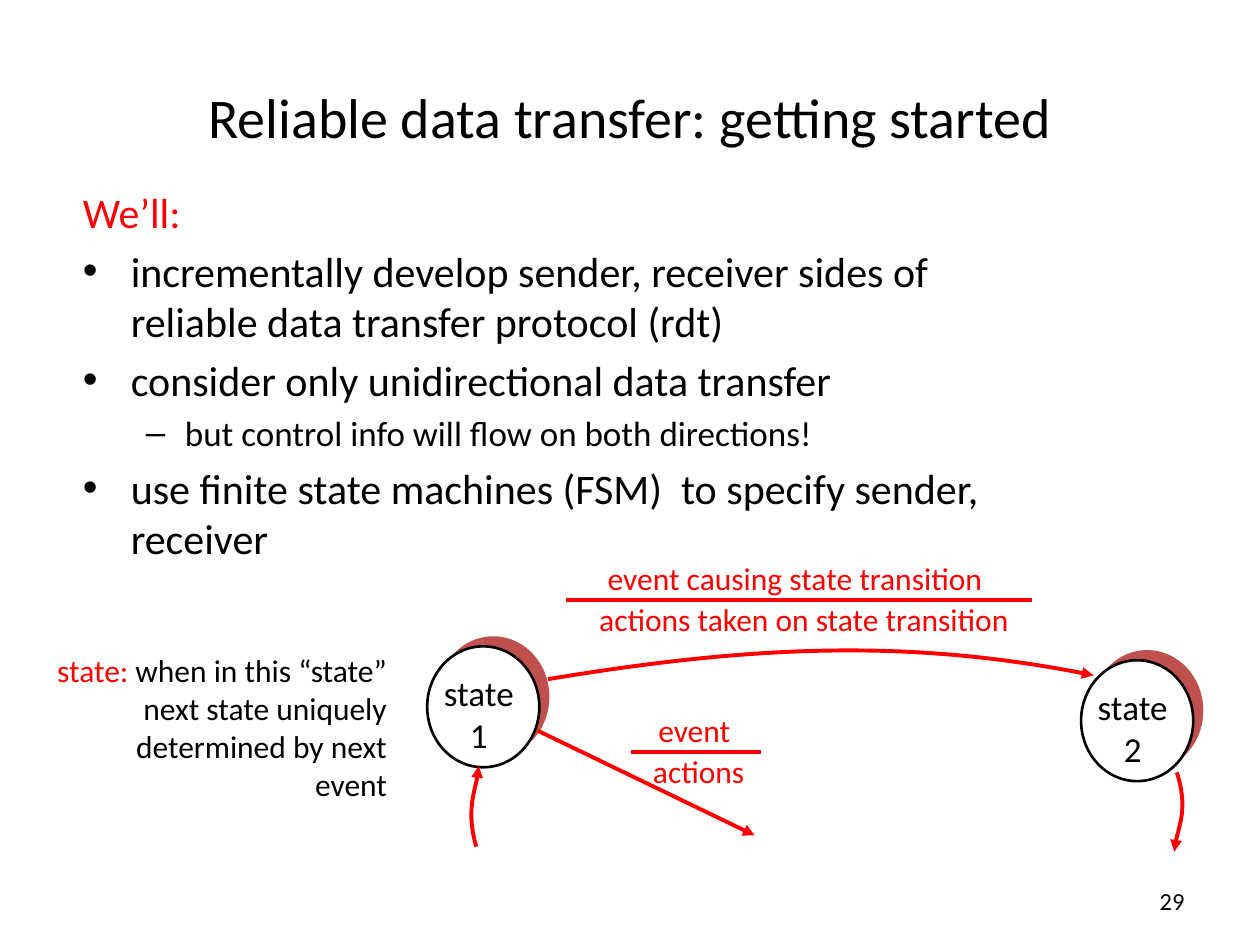
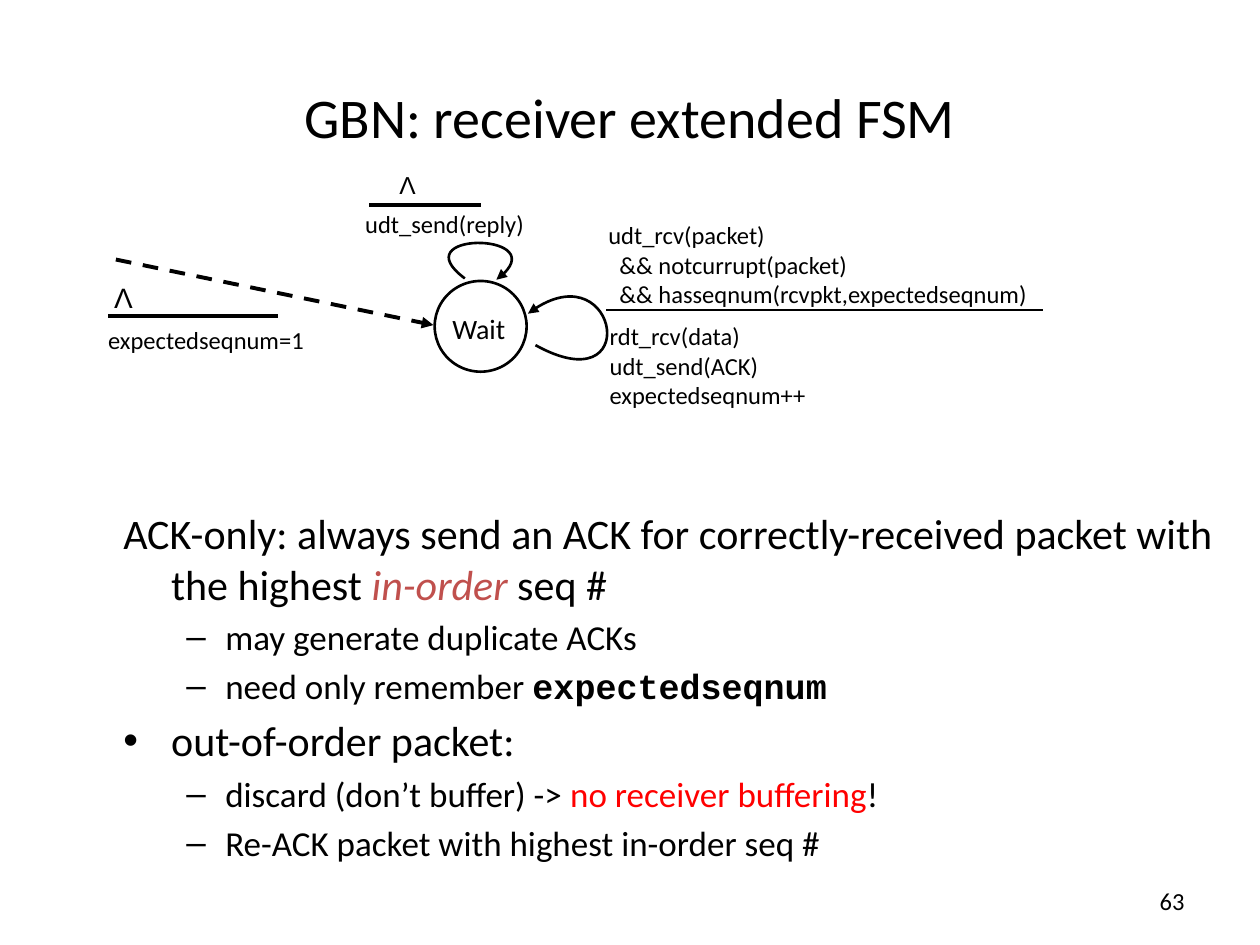
import lxml.etree
import pptx
import pptx.dml.color
import pptx.enum.dml
import pptx.enum.shapes
import pptx.enum.text
import pptx.oxml.ns
import pptx.util

PX = 9144
BLACK = pptx.dml.color.RGBColor(0x00, 0x00, 0x00)
WHITE = pptx.dml.color.RGBColor(0xFF, 0xFF, 0xFF)
RED = pptx.dml.color.RGBColor(0xFF, 0x00, 0x00)
ROSE = pptx.dml.color.RGBColor(0xC0, 0x50, 0x4D)

LEFT = pptx.enum.text.PP_ALIGN.LEFT
CENTER = pptx.enum.text.PP_ALIGN.CENTER
RIGHT = pptx.enum.text.PP_ALIGN.RIGHT
TOP = pptx.enum.text.MSO_ANCHOR.TOP
MIDDLE = pptx.enum.text.MSO_ANCHOR.MIDDLE

TITLE_SIZE, BODY_SIZE, SUB_SIZE, LABEL_SIZE, CODE_SIZE = 32, 24, 20, 18, 14
THICK, THIN = 2.25, 1.5
HANGING, BULLET, DASH = "", "•", "–"
INDENTS = {HANGING: (38, -38), BULLET: (38, -38), DASH: (81, -31)}
ALERT = {"color": RED}
STRESS = {"color": ROSE, "italic": True}
CODE = {"font": "Courier New", "bold": True}
qn = pptx.oxml.ns.qn


def write(page, text, area, size=CODE_SIZE, color=BLACK, font="Calibri",
          align=LEFT, anchor=TOP, wrap=True):
    box = page.shapes.add_textbox(*[PX * length for length in area])
    frame = box.text_frame
    frame.word_wrap = wrap
    frame.vertical_anchor = anchor
    if isinstance(text, str):
        text = [(None, line) for line in text.split("\n")]
    for index, (mark, *pieces) in enumerate(text):
        para = frame.add_paragraph() if index else frame.paragraphs[0]
        para.alignment = align
        para_size = SUB_SIZE if mark == DASH else size
        if mark is not None:
            margin, indent = INDENTS[mark]
            properties = para._p.get_or_add_pPr()
            properties.set("marL", str(margin * PX))
            properties.set("indent", str(indent * PX))
            if mark:
                lxml.etree.SubElement(properties, qn("a:buFont"), typeface="Arial")
                lxml.etree.SubElement(properties, qn("a:buChar"), char=mark)
            if index:
                para.space_before = pptx.util.Pt(para_size * 0.2)
        for piece in pieces:
            words, look = (piece, {}) if isinstance(piece, str) else piece
            span = para.add_run()
            span.text = words
            span.font.size = pptx.util.Pt(para_size)
            span.font.name = look.get("font", font)
            span.font.color.rgb = look.get("color", color)
            span.font.bold = look.get("bold", False)
            span.font.italic = look.get("italic", False)


def trace(page, points, color=BLACK, weight=THICK, arrow=False, dashed=False):
    if len(points) == 2:
        ends = [PX * length for point in points for length in point]
        stroke = page.shapes.add_connector(pptx.enum.shapes.MSO_CONNECTOR.STRAIGHT, *ends)
    else:
        builder = page.shapes.build_freeform(*points[0], scale=PX)
        builder.add_line_segments(points[1:], close=False)
        stroke = builder.convert_to_shape()
        stroke.fill.background()
        outline = stroke._element.find(".//" + qn("a:path"))
        curve = lxml.etree.SubElement(outline, qn("a:cubicBezTo"))
        for segment in outline.findall(qn("a:lnTo")):
            curve.append(segment[0])
            outline.remove(segment)
    stroke.line.color.rgb = color
    stroke.line.width = pptx.util.Pt(weight)
    if dashed:
        stroke.line.dash_style = pptx.enum.dml.MSO_LINE.DASH
    properties = stroke._element.spPr
    if arrow:
        lxml.etree.SubElement(properties.find(qn("a:ln")), qn("a:tailEnd"), type="triangle")
    lxml.etree.SubElement(properties, qn("a:effectLst"))


deck = pptx.Presentation()
deck.slide_width = 1000 * PX
deck.slide_height = 750 * PX

pages = []
for title, number in [("Reliable data transfer: getting started", "29"),
                      ("GBN: receiver extended FSM", "63")]:
    page = deck.slides.add_slide(deck.slide_layouts[6])
    write(page, number, (717, 695, 233, 40), align=RIGHT, anchor=MIDDLE)
    write(page, title, (50, 30, 900, 125), size=TITLE_SIZE, align=CENTER, anchor=MIDDLE)
    pages.append(page)
intro, receiver = pages

states = [("state\n1", 339, 513), ("state\n2", 858, 524)]
state_width, state_height, shadow_shift = 89, 96, 8
discs = [(receiver, (345, 223, 73, 72), WHITE)]
for name, left, top in states:
    shadow = (left + shadow_shift, top - shadow_shift, state_width, state_height)
    discs.append((intro, shadow, ROSE))
    discs.append((intro, (left, top, state_width, state_height), WHITE))
for page, area, fill in discs:
    disc = page.shapes.add_shape(pptx.enum.shapes.MSO_SHAPE.OVAL,
                                 *[PX * length for length in area])
    disc.shadow.inherit = False
    disc.fill.solid()
    disc.fill.fore_color.rgb = fill
    if fill == WHITE:
        disc.line.color.rgb = BLACK
        disc.line.width = pptx.util.Pt(THIN)
    else:
        disc.line.fill.background()
for name, left, top in states:
    write(intro, name, (left + 3, top + 15, 76, 77), size=SUB_SIZE, align=CENTER, wrap=False)

goals = [
    (HANGING, ("We’ll:", ALERT)),
    (BULLET, "incrementally develop sender, receiver sides of "
             "reliable data transfer protocol (rdt)"),
    (BULLET, "consider only unidirectional data transfer"),
    (DASH, "but control info will flow on both directions!"),
    (BULLET, "use finite state machines (FSM)  to specify sender, receiver"),
]
write(intro, goals, (56, 143, 794, 367), size=BODY_SIZE)

state_meaning = [(HANGING, ("state:", ALERT), " when in this “state” next state "
                  "uniquely determined by next event")]
write(intro, state_meaning, (14, 512, 303, 135), size=LABEL_SIZE, align=RIGHT)

transition_labels = [
    ("event causing state transition", (471, 439, 320, 40)),
    ("actions taken on state transition", (464, 471, 348, 40)),
    ("event", (512, 559, 78, 40)),
    ("actions", (508, 592, 93, 40)),
]
for label, area in transition_labels:
    write(intro, label, area, size=LABEL_SIZE, color=RED, align=CENTER, wrap=False)
for left, right, height in [(449, 819, 476), (501, 604, 597)]:
    trace(intro, [(left, height), (right, height)], color=RED)

state_1_to_state_2 = [(435, 539), (597, 512), (726, 507), (868, 536)]
into_state_1 = [(378, 672), (370, 644), (380, 618), (380, 608)]
out_of_state_1 = [(427, 580), (599, 663)]
out_of_state_2 = [(934, 613), (943, 641), (932, 666), (932, 676)]
for transition in [state_1_to_state_2, into_state_1, out_of_state_1, out_of_state_2]:
    trace(intro, transition, color=RED, arrow=True)

ack_rules = [
    (HANGING, "ACK-only: always send an ACK for correctly-received packet with the highest ",
     ("in-order ", STRESS), "seq #"),
    (DASH, "may generate duplicate ACKs"),
    (DASH, "need only remember ", ("expectedseqnum", CODE)),
    (BULLET, "out-of-order packet:"),
    (DASH, "discard (don’t buffer) -> ", ("no receiver buffering", ALERT), "!"),
    (DASH, "Re-ACK packet with highest in-order seq #"),
]
write(receiver, ack_rules, (88, 398, 891, 312), size=BODY_SIZE)

write(receiver, "Wait", (336, 242, 88, 26), size=16, align=CENTER)
write(receiver, "Λ", (284, 130, 79, 27), font="Arial", align=CENTER)
write(receiver, "Λ", (80, 218, 36, 37), size=16, font="Arial", align=CENTER, wrap=False)

receive_event = "\n".join(["udt_rcv(packet)",
                           "  && notcurrupt(packet)",
                           "  && hasseqnum(rcvpkt,expectedseqnum)"])
receive_actions = "\n".join(["rdt_rcv(data)", "udt_send(ACK)", "expectedseqnum++"])
for label, area in [("udt_send(reply)", (280, 161, 177, 34)),
                    ("expectedseqnum=1", (76, 253, 398, 107)),
                    (receive_event, (473, 170, 390, 62)),
                    (receive_actions, (474, 250, 472, 94))]:
    write(receiver, label, area)
for left, right, height, weight in [(293, 382, 163, THICK),
                                    (86, 221, 251, THICK),
                                    (481, 828, 246, THIN)]:
    trace(receiver, [(left, height), (right, height)], weight=weight)

start_arrow = [(92, 206), (344, 258)]
reply_loop = [(369, 221), (319, 184), (445, 184), (394, 222)]
receive_loop = [(425, 274), (510, 321), (490, 195), (419, 249)]
trace(receiver, start_arrow, arrow=True, dashed=True)
for loop in [reply_loop, receive_loop]:
    trace(receiver, loop, weight=THIN, arrow=True)

deck.save("out.pptx")
